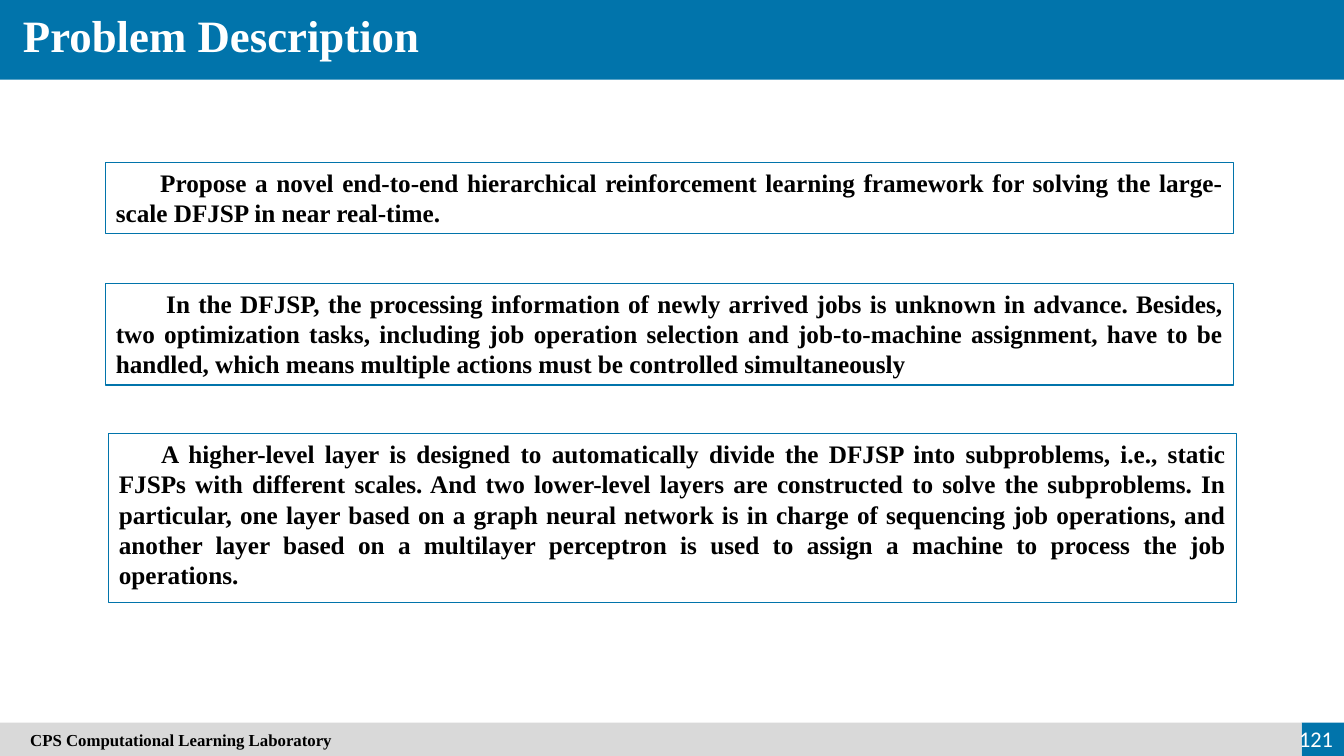
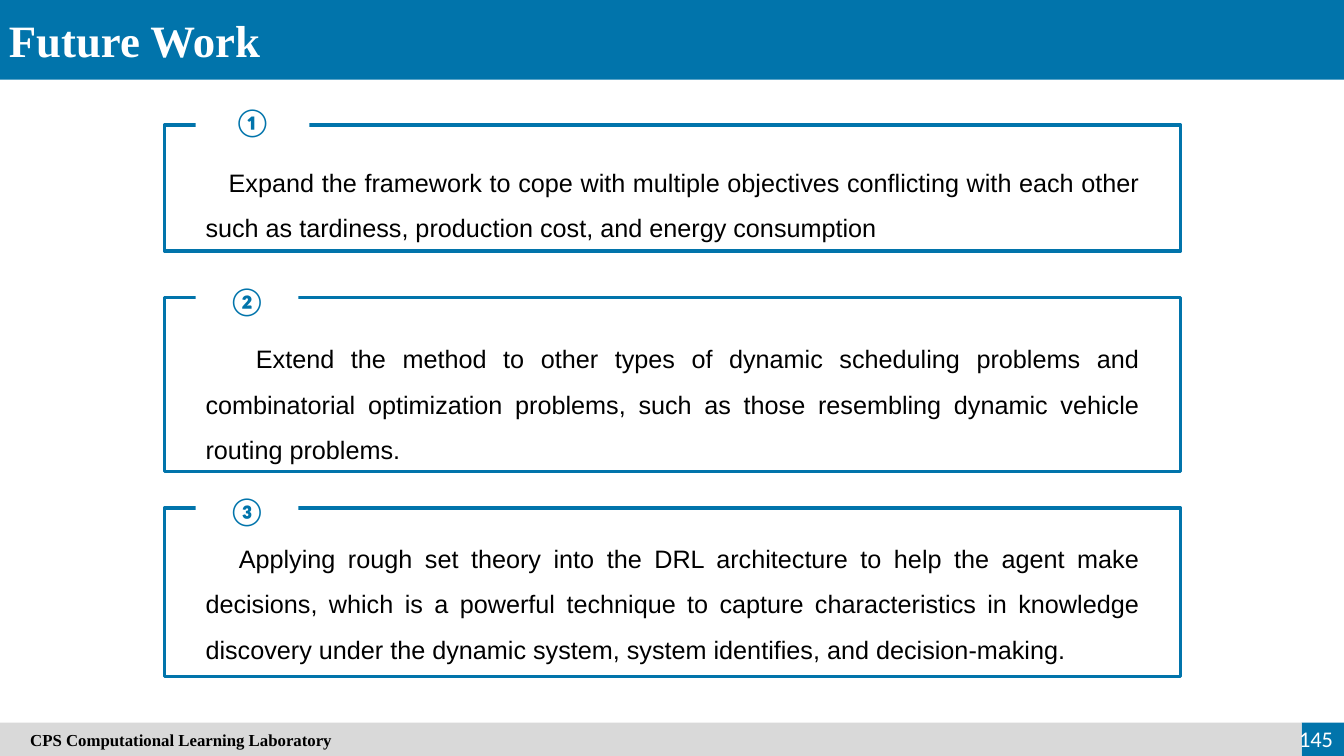
from collections import namedtuple
from dataclasses import dataclass

from pptx import Presentation
from pptx.dml.color import RGBColor
from pptx.enum.shapes import MSO_SHAPE
from pptx.enum.text import MSO_ANCHOR, PP_ALIGN
from pptx.util import Pt

SCALE = 9144
WIDE, HIGH = 1333, 750

Box = namedtuple("Box", "x y w h")
Style = namedtuple("Style", "face size color bold align anchor lead")


@dataclass(frozen=True)
class Theme:
    """Hold the colours, line widths and type styles of the deck."""

    blue: str = "0174AB"
    gray: str = "D9D9D9"
    white: str = "FFFFFF"
    thin: float = 0.75
    thick: float = 2.25
    title: Style = Style("Times New Roman", 32, "FFFFFF", True, PP_ALIGN.LEFT, MSO_ANCHOR.TOP, 1)
    claim: Style = Style("Times New Roman", 18, "000000", True, PP_ALIGN.JUSTIFY, MSO_ANCHOR.TOP, 1)
    body: Style = Style("Arial", 18, "000000", False, PP_ALIGN.JUSTIFY, MSO_ANCHOR.TOP, 1.5)
    badge: Style = Style("Calibri", 20, "0174AB", True, PP_ALIGN.CENTER, MSO_ANCHOR.MIDDLE, 1)
    lab: Style = Style("Times New Roman", 12, "000000", True, PP_ALIGN.LEFT, MSO_ANCHOR.MIDDLE, 1)
    page: Style = Style("Calibri", 16, "FFFFFF", False, PP_ALIGN.RIGHT, MSO_ANCHOR.MIDDLE, 1)


THEME = Theme()

CLAIMS = [
    (Box(105, 161, 1118, 71), 44,
     "Propose a novel end-to-end hierarchical reinforcement learning framework for solving "
     "the large-scale DFJSP in near real-time."),
    (Box(105, 281, 1118, 101), 50,
     "In the DFJSP, the processing information of newly arrived jobs is unknown in advance. "
     "Besides, two optimization tasks, including job operation selection and job-to-machine "
     "assignment, have to be handled, which means multiple actions must be controlled "
     "simultaneously"),
    (Box(108, 430, 1118, 168), 42,
     "A higher-level layer is designed to automatically divide the DFJSP into subproblems, "
     "i.e., static FJSPs with different scales. And two lower-level layers are constructed to "
     "solve the subproblems. In particular, one layer based on a graph neural network is in "
     "charge of sequencing job operations, and another layer based on a multilayer perceptron "
     "is used to assign a machine to process the job operations."),
]

PLANS = [
    (Box(163, 124, 1008, 125), "①", 113, 31, 22, 23,
     "Expand the framework to cope with multiple objectives conflicting with each other such as "
     "tardiness, production cost, and energy consumption"),
    (Box(163, 295, 1008, 173), "②", 102, 25, 26, 50,
     "Extend the method to other types of dynamic scheduling problems and combinatorial "
     "optimization problems, such as those resembling dynamic vehicle routing problems."),
    (Box(163, 504, 1008, 167), "③", 102, 25, 15, 33,
     "Applying rough set theory into the DRL architecture to help the agent make decisions, "
     "which is a powerful technique to capture characteristics in knowledge discovery under "
     "the dynamic system, system identifies, and decision-making."),
]


def emu(box):
    """Turn a box in px into EMU."""
    return [n * SCALE for n in box]


def rect(slide, box, fill=None, edge=None, width=0):
    """Draw a flat rectangle with an optional fill and edge."""
    shape = slide.shapes.add_shape(MSO_SHAPE.RECTANGLE, *emu(box))
    shape.shadow.inherit = False
    if fill:
        shape.fill.solid()
        shape.fill.fore_color.rgb = RGBColor.from_string(fill)
    else:
        shape.fill.background()
    if edge:
        shape.line.color.rgb = RGBColor.from_string(edge)
        shape.line.width = Pt(width)
    else:
        shape.line.fill.background()
    return shape


def write(shape, text, style, indent=0):
    """Set one styled paragraph in a shape."""
    frame = shape.text_frame
    frame.text = text
    frame.word_wrap = True
    frame.vertical_anchor = style.anchor
    para = frame.paragraphs[0]
    para.alignment = style.align
    para.line_spacing = style.lead
    if indent:
        para._p.get_or_add_pPr().set("indent", str(indent * SCALE))
    font = para.runs[0].font
    font.name = style.face
    font.size = Pt(style.size)
    font.bold = style.bold
    font.color.rgb = RGBColor.from_string(style.color)


def label(slide, box, text, style, indent=0):
    """Add a text box."""
    write(slide.shapes.add_textbox(*emu(box)), text, style, indent)


def header(slide, box, title, left, top):
    """Draw the title band."""
    rect(slide, box, THEME.blue)
    label(slide, Box(box.x + left, box.y + top, 537, 64), title, THEME.title)


def footer(slide, box, page):
    """Draw the footer band and page number."""
    tile = 42
    rect(slide, Box(box.x + box.w - tile, box.y, tile, box.h), THEME.blue)
    band = rect(slide, Box(box.x, box.y, box.w - tile, box.h), THEME.gray)
    write(band, "CPS Computational Learning Laboratory", THEME.lab)
    band.text_frame.margin_left = 30 * SCALE
    label(slide, Box(box.x + box.w - 64, box.y - 4, 63, 40), page, THEME.page)


def claim(slide, box, indent, text):
    """Draw a thin framed statement."""
    write(rect(slide, box, edge=THEME.blue, width=THEME.thin), text, THEME.claim, indent)


def plan(slide, box, mark, wide, rise, drop, indent, text):
    """Draw a thick frame with a number set into its top edge."""
    left = box.x + 31
    rect(slide, box, edge=THEME.blue, width=THEME.thick)
    write(rect(slide, Box(left, box.y - rise, wide, 55), THEME.white), mark, THEME.badge)
    label(slide, Box(left, box.y + drop, 946, box.h - 30), text, THEME.body, indent)


def build(deck, title, left, top, page, draw, items):
    """Add one slide with its bands and panels."""
    slide = deck.slides.add_slide(deck.slide_layouts[6])
    header(slide, Box(0, 0, WIDE, 79), title, left, top)
    for item in items:
        draw(slide, *item)
    footer(slide, Box(0, 717, WIDE, 33), page)


def main():
    """Build and save the deck."""
    deck = Presentation()
    deck.slide_width, deck.slide_height = WIDE * SCALE, HIGH * SCALE
    build(deck, "Problem Description", 13, 3, "121", claim, CLAIMS)
    build(deck, "Future Work", -1, 8, "145", plan, PLANS)
    deck.save("out.pptx")


if __name__ == "__main__":
    main()
